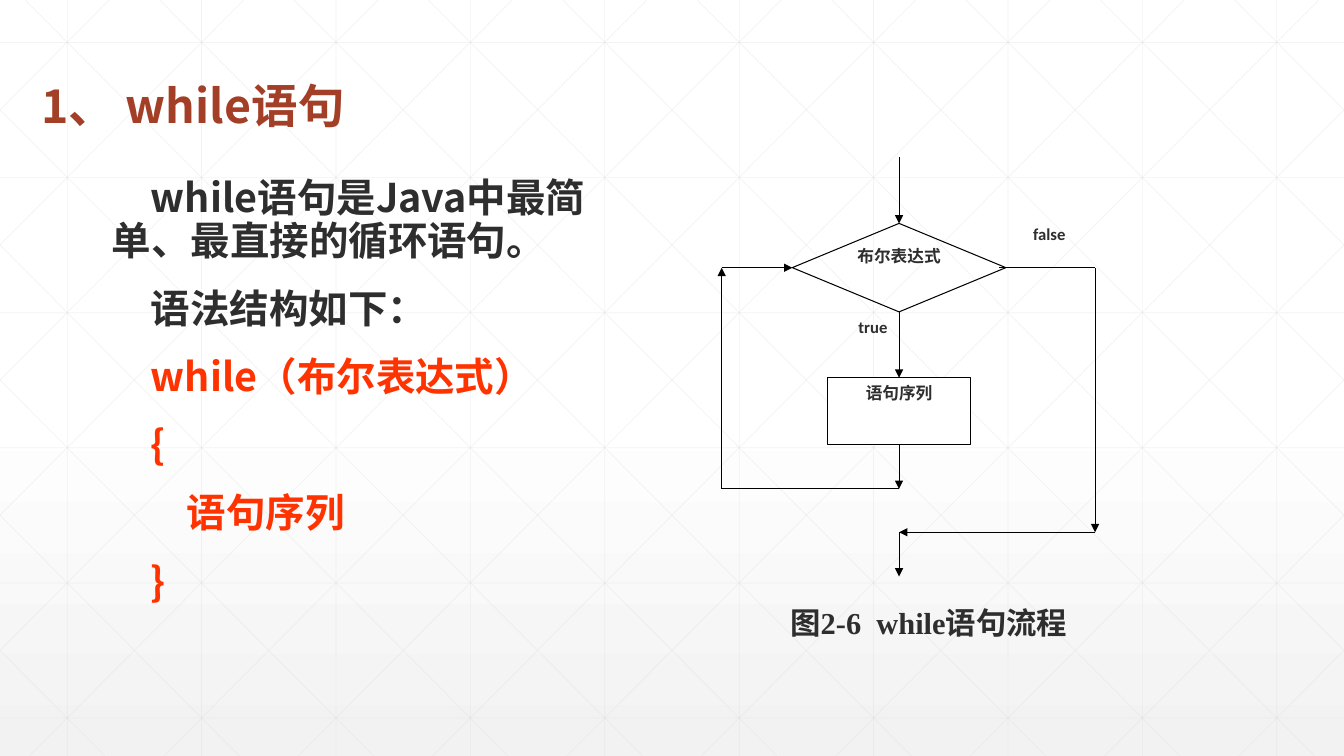
from lxml import etree
from pptx import Presentation
from pptx.dml.color import RGBColor
from pptx.enum import shapes, text
from pptx.oxml import ns
from pptx.util import Pt

colour = RGBColor.from_string
CJK = "Noto Sans CJK SC"
INK = "2D2E2D"


def write(frame, lines, size, font, hue=INK, align=None):
    """Fill a text frame with bold paragraphs in one style."""
    frame.word_wrap = True
    frame.text = "\n".join(lines)
    for para in frame.paragraphs:
        para.alignment = align
        para.font.size = Pt(size)
        para.font.bold = True
        para.font.color.rgb = colour(hue)
        para.font.name = font
        etree.SubElement(para.font._rPr, ns.qn("a:ea"), typeface=CJK)


def draw_line(target, start, end, hue, width):
    """Add a straight line without shadow and return its a:ln element."""
    line = target.add_connector(shapes.MSO_CONNECTOR.STRAIGHT,
                                *(Pt(value) for value in (*start, *end)))
    line.line.color.rgb = colour(hue)
    line.line.width = Pt(width)
    properties = line._element.spPr
    etree.SubElement(properties, ns.qn("a:effectLst"))
    return properties.find(ns.qn("a:ln"))


W, H = 960, 540
deck = Presentation()
deck.slide_width, deck.slide_height = Pt(W), Pt(H)
page = deck.slides.add_slide(deck.slide_layouts[5])

# Background gradient
fill = page.background.fill
fill.gradient()
fill.gradient_angle = 270
for stop, hue, position in zip(fill.gradient_stops, ("FFFFFF", "F2F2F2"), (0.53, 1)):
    stop.color.rgb = colour(hue)
    stop.position = position

# Faint grid: verticals, horizontals and mirrored diagonals cut at the edges
STEP, RUN = 96, 537
grid_lines = [((x, 0), (x, H)) for x in range(48, W, STEP)]
grid_lines += [((0, 30.4 + 96.5 * row), (W, 30.4 + 96.5 * row)) for row in range(6)]
for top_x in range(18 - 5 * STEP, W, STEP):
    left, right = max(0, top_x), min(W, top_x + RUN)
    high, low = ((x - top_x) * H / RUN for x in (left, right))
    grid_lines += [((left, high), (right, low)), ((W - left, high), (W - right, low))]

grid = page.shapes.add_group_shape()
for start, end in grid_lines:
    outline = draw_line(grid.shapes, start, end, "D9D9D9", 0.5)
    shade = outline.find(".//" + ns.qn("a:srgbClr"))
    etree.SubElement(shade, ns.qn("a:alpha"), val="30000")
page.shapes._spTree.insert(2, grid._element)

# Title
title = page.shapes.title
title.left, title.top, title.width, title.height = Pt(22.3), Pt(25.2), Pt(641.5), Pt(74)
write(title.text_frame, ["1、 while语句"], 33.2, CJK, "A43F27", text.PP_ALIGN.LEFT)
title.text_frame.vertical_anchor = text.MSO_ANCHOR.BOTTOM
title.text_frame.paragraphs[0].line_spacing = 0.9

# Explanation and syntax
body = page.shapes.add_textbox(Pt(72.7), Pt(123), Pt(364.3), Pt(356))
write(body.text_frame, ["while语句是Java中最简单、最直接的循环语句。", "语法结构如下：",
                        "while（布尔表达式）", "{", "    语句序列", "}"], 28.2, CJK)
for index, para in enumerate(body.text_frame.paragraphs):
    para._p.get_or_add_pPr().set("indent", str(Pt(28)))
    para.line_spacing = Pt(30.7)
    if index:
        para.space_before = Pt(18)
    if index >= 2:
        para.font.color.rgb = colour("FF3300")

# Flowchart boxes
LEFT, MIDDLE, RIGHT = 515.5, 642.2, 782.2
TEST_Y, LOOP_Y, EXIT_Y = 191.3, 349.2, 380.2
DIAMOND_TOP, DIAMOND_END, STEP_TOP, STEP_END = 159.6, 222.8, 269.8, 317.5
boxes = [
    (shapes.MSO_SHAPE.RECTANGLE, "语句序列", 101.6, STEP_TOP, STEP_END),
    (shapes.MSO_SHAPE.DIAMOND, "布尔表达式", 152.6, DIAMOND_TOP, DIAMOND_END),
]
for preset, label, width, top, bottom in boxes:
    box = page.shapes.add_shape(preset, Pt(MIDDLE - width / 2), Pt(top),
                                Pt(width), Pt(bottom - top))
    box.shadow.inherit = False
    box.line.color.rgb = colour("000000")
    box.line.width = Pt(0.75)
    frame = box.text_frame
    write(frame, [label], 11.9, "Calibri", align=text.PP_ALIGN.CENTER)
    frame.vertical_anchor = text.MSO_ANCHOR.TOP
    if preset == shapes.MSO_SHAPE.DIAMOND:
        box.fill.background()
        frame.margin_left = frame.margin_right = frame.margin_top = frame.margin_bottom = 0
    else:
        box.fill.solid()
        box.fill.fore_color.rgb = colour("FFFFFF")

# Branch labels
for label, left, top in (("true", 591.8, 222.5), ("false", 717.8, 156.2)):
    box = page.shapes.add_textbox(Pt(left), Pt(top), Pt(63.4), Pt(47.5))
    write(box.text_frame, [label], 11.9, "Calibri", align=text.PP_ALIGN.CENTER)

# Flow lines: start, end, arrowhead
flows = [
    ((MIDDLE, 112.3), (MIDDLE, DIAMOND_TOP), True),
    ((MIDDLE, DIAMOND_END), (MIDDLE, STEP_TOP), True),
    ((MIDDLE, STEP_END), (MIDDLE, LOOP_Y), True),
    ((MIDDLE, LOOP_Y), (LEFT, LOOP_Y), False),
    ((LEFT, LOOP_Y), (LEFT, TEST_Y), True),
    ((LEFT, TEST_Y), (566, TEST_Y), True),
    ((713.5, TEST_Y), (RIGHT, TEST_Y), False),
    ((RIGHT, TEST_Y), (RIGHT, EXIT_Y), True),
    ((RIGHT, EXIT_Y), (MIDDLE, EXIT_Y), True),
    ((MIDDLE, EXIT_Y), (MIDDLE, 411.8), True),
]
for start, end, arrow in flows:
    outline = draw_line(page.shapes, start, end, "000000", 0.75)
    if arrow:
        etree.SubElement(outline, ns.qn("a:tailEnd"), type="triangle")

# Caption
caption = page.shapes.add_textbox(Pt(540.7), Pt(428.4), Pt(245.5), Pt(32.4))
write(caption.text_frame, ["图2-6  while语句流程"], 21.7, "Times New Roman",
      align=text.PP_ALIGN.CENTER)
caption.text_frame.vertical_anchor = text.MSO_ANCHOR.MIDDLE

deck.save("out.pptx")
